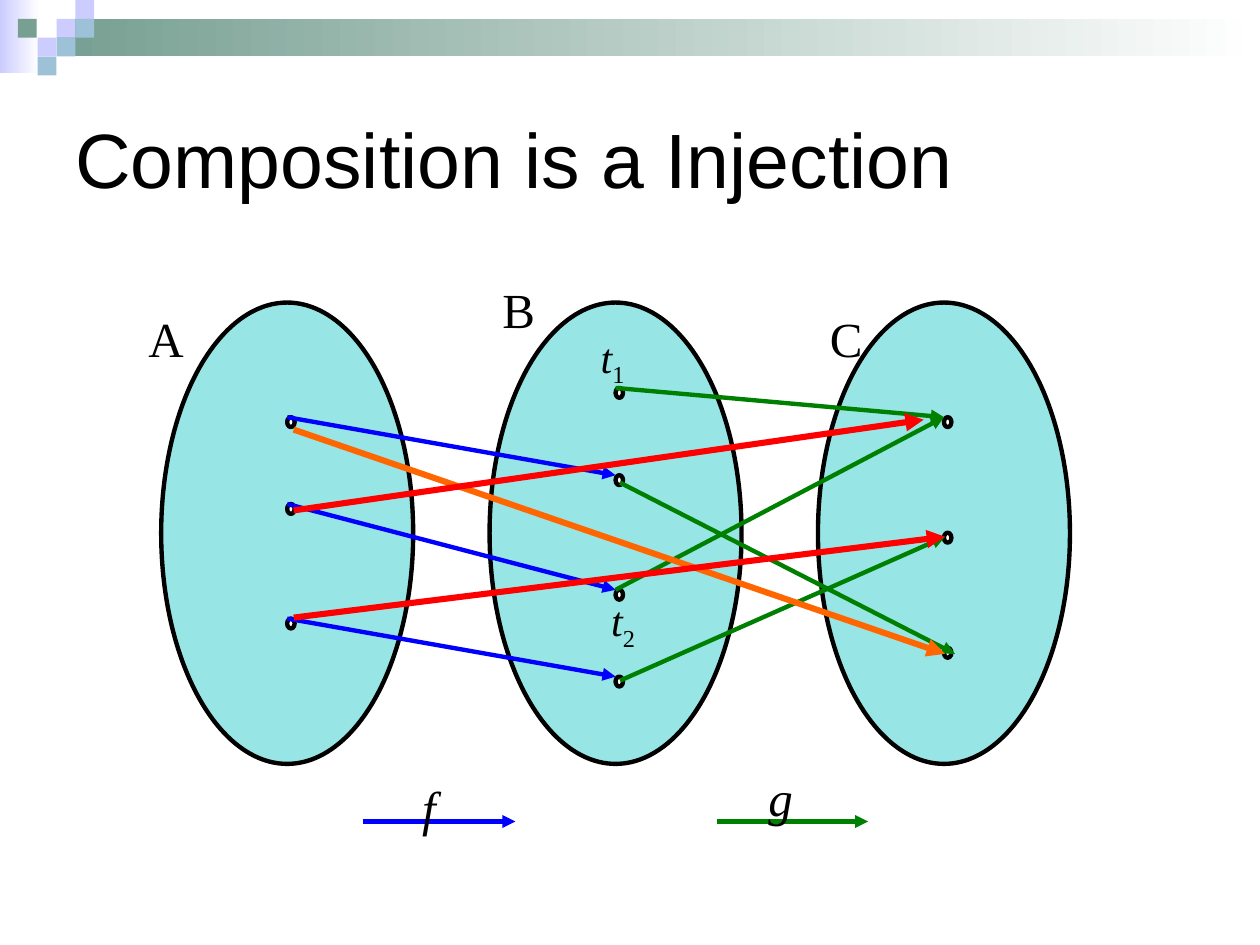
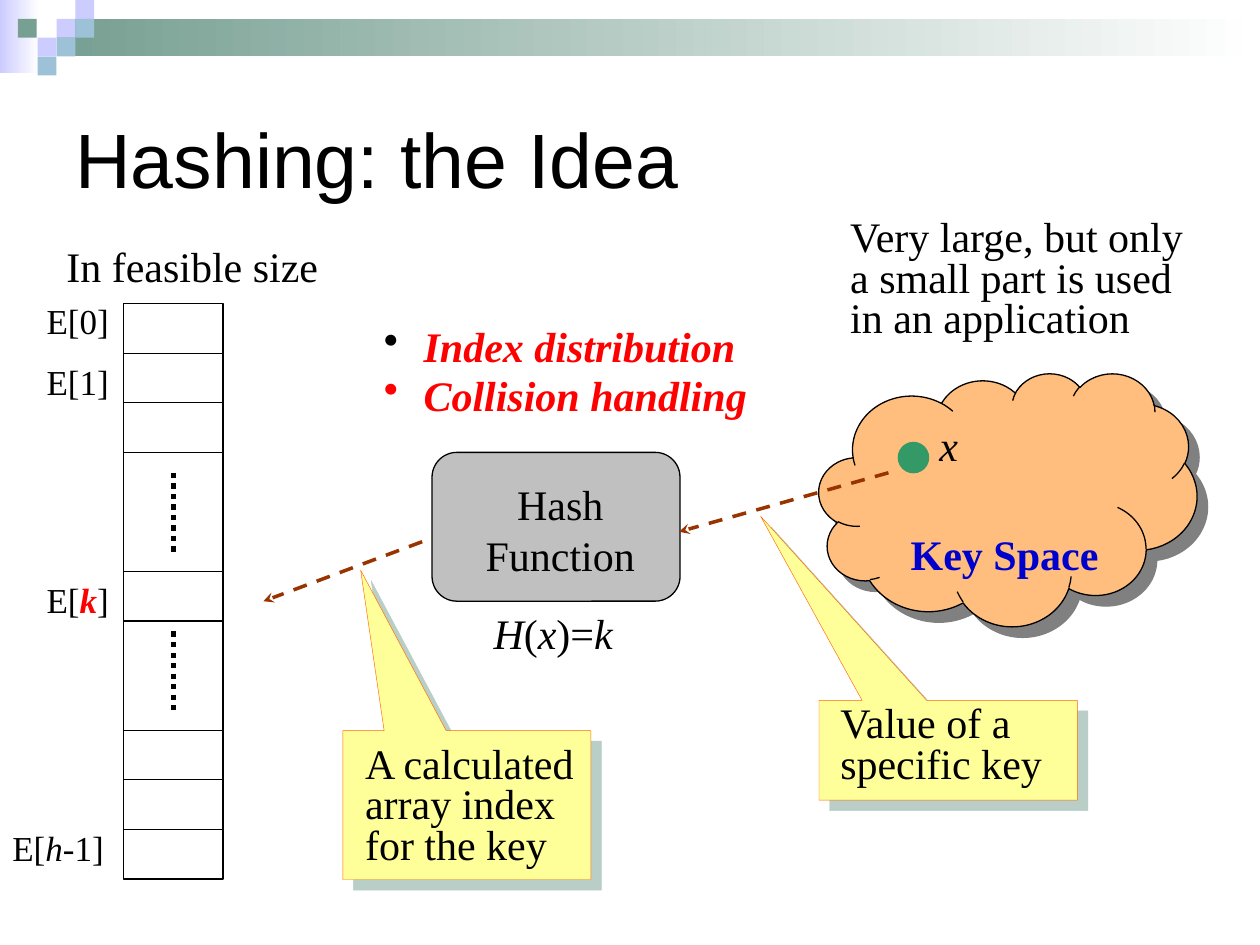
from itertools import accumulate

from lxml import etree
from pptx import Presentation
from pptx import util as u
from pptx.dml.color import RGBColor
from pptx.enum import dml, shapes, text
from pptx.oxml.ns import qn

BLACK = RGBColor(0x00, 0x00, 0x00)
WHITE = RGBColor(0xFF, 0xFF, 0xFF)
LAVENDER = RGBColor(0xCC, 0xCC, 0xFF)
SAGE = RGBColor(0x77, 0x9F, 0x92)
SKY = RGBColor(0x9D, 0xC2, 0xD7)
TEAL = RGBColor(0x33, 0xCC, 0xCC)
BLUE = RGBColor(0x00, 0x00, 0xFF)
KEY_BLUE = RGBColor(0x00, 0x00, 0xCC)
GREEN = RGBColor(0x00, 0x80, 0x00)
KEY_GREEN = RGBColor(0x33, 0x99, 0x66)
ORANGE = RGBColor(0xFF, 0x66, 0x00)
PEACH = RGBColor(0xFF, 0xBE, 0x7D)
YELLOW = RGBColor(0xFF, 0xFF, 0x99)
RED = RGBColor(0xFF, 0x00, 0x00)
BROWN = RGBColor(0x99, 0x33, 0x00)
GRAY = RGBColor(0xC0, 0xC0, 0xC0)
DARK_GRAY = RGBColor(0x80, 0x80, 0x80)

SHAPE = shapes.MSO_SHAPE
DASH = dml.MSO_LINE.DASH
DOTS = dml.MSO_LINE.ROUND_DOT
LEFT, CENTER, JUSTIFY = text.PP_ALIGN.LEFT, text.PP_ALIGN.CENTER, text.PP_ALIGN.JUSTIFY


def add_shape(page, kind, place, fill=None, outline=None, weight=0.75, shadow=None, opacity=100):
    shape = page.shapes.add_shape(kind, *map(u.Cm, place))
    if fill is None:
        shape.fill.background()
    else:
        shape.fill.solid()
        shape.fill.fore_color.rgb = fill
    if outline is None:
        shape.line.fill.background()
    else:
        shape.line.color.rgb = outline
        shape.line.width = u.Pt(weight)
    shape.shadow.inherit = False
    if shadow is not None:
        effects = shape._element.spPr.find(qn("a:effectLst"))
        cast = etree.SubElement(effects, qn("a:outerShdw"), dist=str(u.Pt(8.5)),
                                dir="2700000", algn="ctr", rotWithShape="0")
        tint = etree.SubElement(cast, qn("a:srgbClr"), val=str(shadow))
        etree.SubElement(tint, qn("a:alpha"), val=str(opacity * 1000))
    return shape


def add_line(page, start, end, colour, weight, head=None, dash=None):
    line = page.shapes.add_connector(shapes.MSO_CONNECTOR.STRAIGHT,
                                     *map(u.Cm, (*start, *end)))
    line.line.color.rgb = colour
    line.line.width = u.Pt(weight)
    if dash is not None:
        line.line.dash_style = dash
    properties = line._element.spPr
    if head:
        etree.SubElement(properties.find(qn("a:ln")), qn("a:tailEnd"), type=head)
    etree.SubElement(properties, qn("a:effectLst"))


deck = Presentation()
deck.slide_width, deck.slide_height = u.Cm(25.4), u.Cm(19.05)
composition, hashing = [deck.slides.add_slide(deck.slide_layouts[6]) for _ in range(2)]

# Shared band, corner squares and title
band = [((0, 0, 0.79, 1.47), LAVENDER), ((1.14, 0.38, 24.26, 0.76), SAGE)]
SQUARE = 0.38
squares = [(1.14, 1, LAVENDER), (1.52, 0, LAVENDER), (1.52, 1, SKY), (0.76, 2, LAVENDER),
           (0.36, 1, SAGE), (1.14, 2, SKY), (0.76, 3, SKY)]
titles = [(composition, "Composition is a Injection"), (hashing, "Hashing: the Idea")]
for page, title in titles:
    for place, colour in band:
        fade = add_shape(page, SHAPE.RECTANGLE, place).fill
        fade.gradient()
        fade.gradient_angle = 0
        for stop, shade in zip(fade.gradient_stops, (colour, WHITE)):
            stop.color.rgb = shade
    for left, row, colour in squares:
        add_shape(page, SHAPE.RECTANGLE, (left, row * SQUARE, SQUARE, SQUARE), colour)
    box = page.shapes.add_textbox(*map(u.Cm, (1.27, 1.27, 22.86, 3.81)))
    box.text_frame.word_wrap = True
    box.text_frame.vertical_anchor = text.MSO_ANCHOR.MIDDLE
    para = box.text_frame.paragraphs[0]
    para.text = title
    para.font.name, para.font.size = "Arial", u.Pt(44)
    para.font.color.rgb = BLACK

# Composition: the sets A, B, C and their elements
SET_STEP = 6.62
element_tops = [(8.41, 10.16, 12.47), (7.82, 9.58, 11.89, 13.64), (8.41, 10.74, 13.06)]
elements = [[(5.79 + SET_STEP * column, top) for top in tops]
            for column, tops in enumerate(element_tops)]
for column in range(3):
    oval = add_shape(composition, SHAPE.OVAL, (3.25 + SET_STEP * column, 6.1, 5.08, 9.3),
                     TEAL, BLACK, 2.5)
    tint = oval._element.spPr.find(qn("a:solidFill"))[0]
    etree.SubElement(tint, qn("a:alpha"), val="50000")
for column in elements:
    for left, top in column:
        add_shape(composition, SHAPE.OVAL, (left, top, 0.15, 0.2), WHITE, BLACK, 2.5)

# Composition: mappings f (blue), g (green) and the composed ones
in_a, in_b, in_c = elements
mappings = [
    ((7.32, 16.56), (10.39, 16.56), BLUE, 2.5),
    ((14.45, 16.56), (17.5, 16.56), GREEN, 2.5),
    *[(start, end, BLUE, 2.5) for start, end in zip(in_a, in_b[1:])],
    (in_b[0], in_c[0], GREEN, 2.5),
    (in_b[2], in_c[0], GREEN, 2.5),
    ((12.5, 9.73), (19.25, 13.18), GREEN, 2.5),
    ((12.5, 13.72), (19.05, 10.82), GREEN, 2.5),
    ((5.92, 8.66), (19.05, 13.18), ORANGE, 3.5),
    ((5.92, 10.29), (18.62, 8.46), RED, 3.5),
    ((5.92, 12.45), (19.05, 10.82), RED, 3.5),
]
for start, end, colour, weight in mappings:
    add_line(composition, start, end, colour, weight, "triangle")

# Hashing: callouts, key space and hash function
callouts = [((16.51, 14.12, 5.21, 2.01), (0.726, 2.348)),
            ((6.91, 14.73, 5, 3), (0.428, 1.579))]
for place, tip in callouts:
    callout = add_shape(hashing, SHAPE.RECTANGULAR_CALLOUT, place, YELLOW, ORANGE, 0.25, SAGE, 50)
    callout.rotation = 180
    callout.adjustments[0], callout.adjustments[1] = tip
add_shape(hashing, SHAPE.CLOUD, (16.51, 7.52, 7.62, 5.1), PEACH, BLACK, shadow=DARK_GRAY)
add_shape(hashing, SHAPE.ROUNDED_RECTANGLE, (8.71, 9.12, 5, 3), GRAY, BLACK)
add_shape(hashing, SHAPE.OVAL, (18.11, 8.92, 0.61, 0.61), KEY_GREEN, KEY_GREEN)

# Hashing: the array with its cells
ARRAY_LEFT, ARRAY_TOP, ARRAY_WIDTH = 2.49, 6.12, 2.01
cell_heights = [1, 1, 1, 2.4, 1, 2.2, 1, 1, 1]
add_shape(hashing, SHAPE.RECTANGLE,
          (ARRAY_LEFT, ARRAY_TOP, ARRAY_WIDTH, sum(cell_heights)), None, BLACK, 1)
for depth in accumulate(cell_heights[:-1]):
    edge = ARRAY_TOP + depth
    add_line(hashing, (ARRAY_LEFT, edge), (ARRAY_LEFT + ARRAY_WIDTH, edge), BLACK, 0.75)
for top in (9.53, 12.73):
    add_line(hashing, (3.5, top), (3.5, top + 1.6), BLACK, 3, dash=DOTS)

# Hashing: arrows from key to index
for start, end in [((17.91, 9.53), (13.69, 10.72)), ((8.51, 10.92), (5.31, 12.12))]:
    add_line(hashing, start, end, BROWN, 2, "stealth", DASH)

# Labels: page, place, size, alignment, line spacing, spans of (words, style)
# Styles: i italic, b bold, s subscript, r red, k key blue
labels = [
    (composition, (8.26, 15.54, 1.52, 1.75), 28, JUSTIFY, None, [("f", "i")]),
    (composition, (15.24, 15.34, 1.52, 1.75), 28, JUSTIFY, None, [("g", "i")]),
    (composition, (2.74, 6.1, 1.52, 1.75), 28, JUSTIFY, None, [("A", "")]),
    (composition, (9.88, 5.51, 2.03, 1.75), 28, JUSTIFY, None, [("B", "")]),
    (composition, (16.48, 6.1, 2.03, 1.75), 28, JUSTIFY, None, [("C", "")]),
    (composition, (11.86, 6.55, 2.34, 1.27), 24, LEFT, None, [("t", "i"), ("1", "s")]),
    (composition, (12.07, 11.86, 2.34, 1.27), 24, LEFT, None, [("t", "i"), ("2", "s")]),
    (hashing, (18.11, 10.52, 4.8, 1.27), 24, LEFT, None, [("Key Space", "bk")]),
    (hashing, (9.3, 9.53, 3.99, 2.29), 24, CENTER, None, [("Hash Function", "")]),
    (hashing, (0.69, 5.92, 3.1, 1.09), 20, LEFT, None, [("E[0]", "")]),
    (hashing, (0.69, 7.14, 3.1, 1.09), 20, LEFT, None, [("E[1]", "")]),
    (hashing, (0.69, 11.53, 3.1, 1.09), 20, LEFT, None, [("E[", ""), ("k", "bir"), ("]", "")]),
    (hashing, (0, 16.54, 3.1, 1.09), 20, LEFT, None, [("E[", ""), ("h", "i"), ("-1]", "")]),
    (hashing, (16.69, 14.12, 4.8, 1.88), 24, LEFT, 0.8, [("Value of a specific key", "")]),
    (hashing, (7.11, 14.94, 5.21, 2.69), 24, LEFT, 0.8,
     [("A calculated array index for the key", "")]),
    (hashing, (16.89, 4.32, 7.39, 2.69), 24, LEFT, 0.8,
     [("Very large, but only a small part is used in an application", "")]),
    (hashing, (1.09, 4.72, 6.4, 1.27), 24, LEFT, None, [("In feasible size", "")]),
    (hashing, (18.69, 8.33, 1.4, 1.27), 24, LEFT, None, [("x", "i")]),
    (hashing, (9.7, 12.12, 5.59, 1.27), 24, LEFT, None,
     [("H", "i"), ("(", ""), ("x", "i"), (")=", ""), ("k", "i")]),
]
for page, place, size, alignment, spacing, spans in labels:
    box = page.shapes.add_textbox(*map(u.Cm, place))
    box.text_frame.word_wrap = True
    para = box.text_frame.paragraphs[0]
    para.alignment, para.line_spacing = alignment, spacing
    para.font.name, para.font.size = "Times New Roman", u.Pt(size)
    para.font.color.rgb = BLACK
    for words, style in spans:
        span = para.add_run()
        span.text = words
        if "i" in style:
            span.font.italic = True
        if "b" in style:
            span.font.bold = True
        if "s" in style:
            span.font._rPr.set("baseline", "-25000")
        if "r" in style:
            span.font.color.rgb = RED
        if "k" in style:
            span.font.color.rgb = KEY_BLUE

# Hashing: bulleted concerns
box = hashing.shapes.add_textbox(*map(u.Cm, (7.49, 6.53, 8, 2.08)))
frame = box.text_frame
frame.word_wrap = True
concerns = [("Index distribution", BLACK), ("Collision handling", RED)]
for number, (words, bullet_colour) in enumerate(concerns):
    para = frame.add_paragraph() if number else frame.paragraphs[0]
    para.text = words
    para.line_spacing, para.space_before = 0.8, u.Pt(5)
    properties = para._p.get_or_add_pPr()
    properties.set("marL", str(u.Cm(0.8)))
    properties.set("indent", str(-u.Cm(0.8)))
    tint = etree.SubElement(properties, qn("a:buClr"))
    etree.SubElement(tint, qn("a:srgbClr"), val=str(bullet_colour))
    etree.SubElement(properties, qn("a:buChar"), char="•")
    para.font.name, para.font.size = "Times New Roman", u.Pt(24)
    para.font.bold = para.font.italic = True
    para.font.color.rgb = RED

deck.save("out.pptx")
